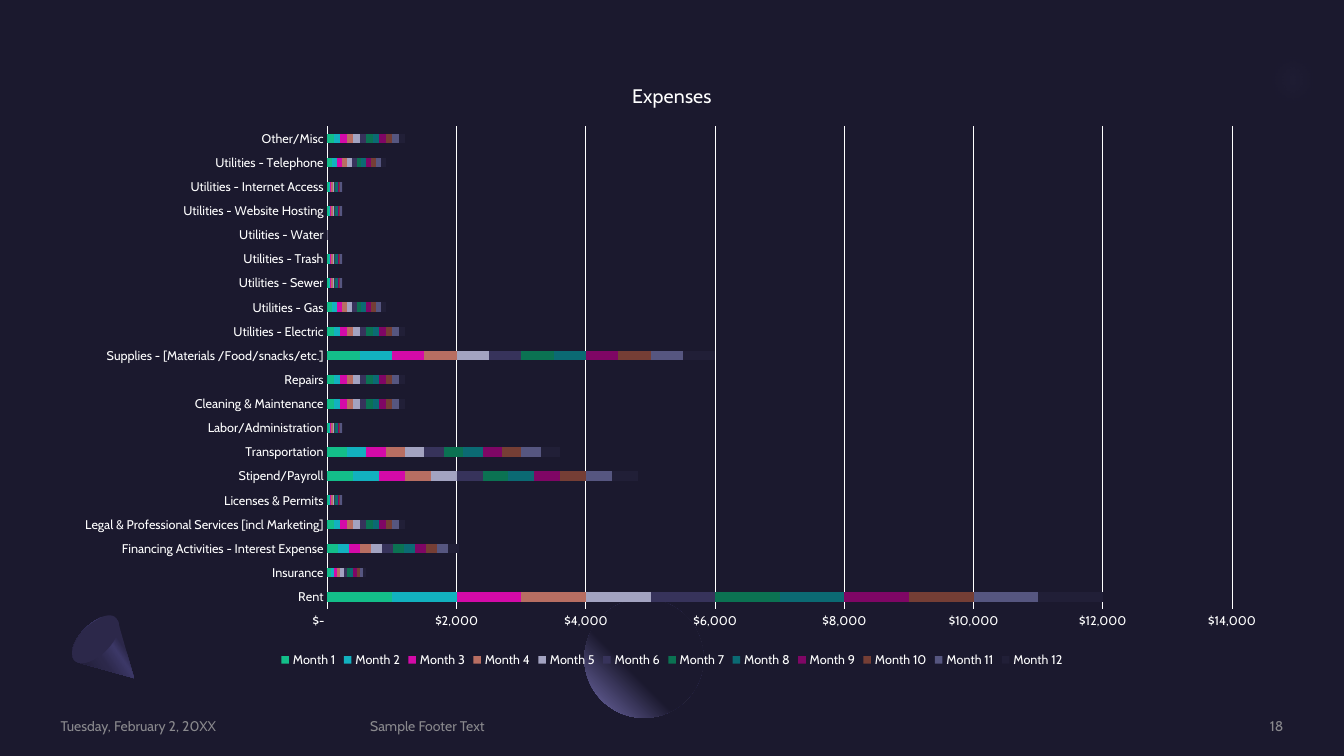
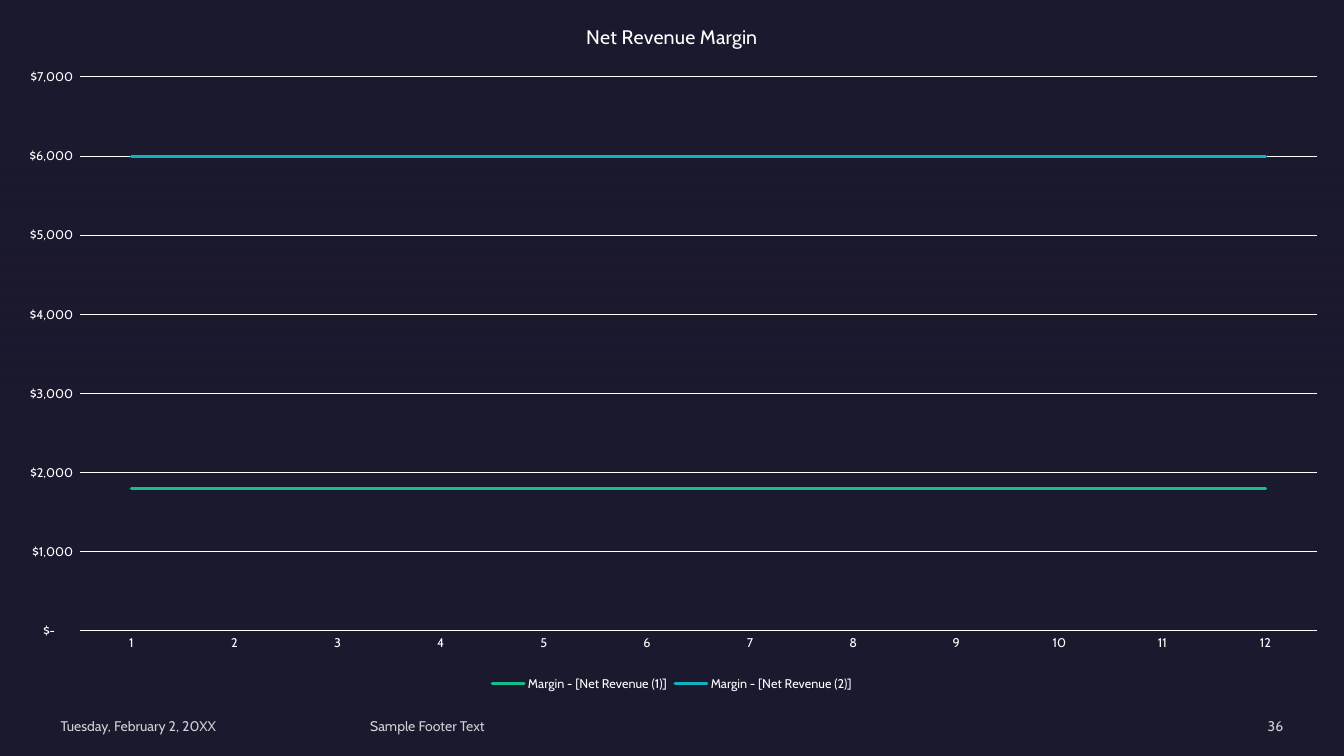
"""Build two dark chart slides: monthly expenses and net revenue margin."""
from lxml import etree
from pptx import Presentation
from pptx.chart.data import CategoryChartData
from pptx.dml.color import RGBColor
from pptx.enum.chart import XL_CHART_TYPE, XL_LEGEND_POSITION, XL_MARKER_STYLE, XL_TICK_MARK
from pptx.enum.shapes import MSO_SHAPE
from pptx.enum.text import MSO_ANCHOR, PP_ALIGN
from pptx.oxml import parse_xml
from pptx.oxml.ns import nsdecls, qn
from pptx.util import Cm, Pt

STACKED = XL_CHART_TYPE.BAR_STACKED
LINE = XL_CHART_TYPE.LINE
BOTTOM = XL_LEGEND_POSITION.BOTTOM
NO_MARKER = XL_MARKER_STYLE.NONE
NO_TICK = XL_TICK_MARK.NONE
OVAL = MSO_SHAPE.OVAL
RECTANGLE = MSO_SHAPE.RECTANGLE
MIDDLE = MSO_ANCHOR.MIDDLE
LEFT, RIGHT = PP_ALIGN.LEFT, PP_ALIGN.RIGHT

COLORS = {"night": "1B192E", "dusk": "2C284A", "plum": "3C3867", "lilac": "7771B2",
          "white": "FFFFFF", "grey": "A6A6A6"}
SERIES_COLORS = ["13BE89", "12B1BF", "D40AA8", "B86E62", "A3A3C1", "37335B",
                 "0B7252", "0B6A73", "7F0665", "753E35", "565680", "211F37"]
FONT = "Cabin"
PAGE_WIDTH, PAGE_HEIGHT = 33.87, 19.05
DOLLARS = '_("$"* #,##0_);_("$"* \\(#,##0\\);_("$"* "-"??_);_(@_)'
MONTHS = 12
EXPENSES = {
    "Rent": 1000,
    "Insurance": 50,
    "Financing Activities - Interest Expense": 170,
    "Legal & Professional Services [incl Marketing]": 100,
    "Licenses & Permits": 20,
    "Stipend/Payroll": 400,
    "Transportation": 300,
    "Labor/Administration": 20,
    "Cleaning & Maintenance": 100,
    "Repairs": 100,
    "Supplies - [Materials /Food/snacks/etc.]": 500,
    "Utilities - Electric": 100,
    "Utilities - Gas": 75,
    "Utilities - Sewer": 20,
    "Utilities - Trash": 20,
    "Utilities - Water": 0,
    "Utilities - Website Hosting": 20,
    "Utilities - Internet Access": 20,
    "Utilities - Telephone": 75,
    "Other/Misc": 100,
}
MARGINS = {"Margin - [Net Revenue (1)]": 1800, "Margin - [Net Revenue (2)]": 6000}
CRESCENT = [(1.2, 0), (2.2, 0), (2.2, 1.09), (2.09, 1.14),
            (2.01, 1.19, 1.96, 1.24, 1.88, 1.3), (1.38, 1.8, 1.43, 2.67, 2.01, 3.23),
            (1.1, 4.14), (-0.05, 3.02, -0.15, 1.27, 0.87, 0.28),
            (0.92, 0.2, 0.99, 0.15, 1.05, 0.1)]
CONE = [(1.68, 1.79), (0.26, 1.39), (0.2, 1.36, 0.18, 1.36, 0.18, 1.34),
        (0.03, 1.18, 0.15, 0.83, 0.43, 0.55), (0.74, 0.24, 1.09, 0.12, 1.22, 0.27),
        (1.27, 0.35)]


def rgb(name):
    """Return the colour with the given name."""
    return RGBColor.from_string(COLORS[name])


def set_opacity(element, percent):
    """Make the solid colours inside an element partly transparent."""
    for color in element.iter(qn("a:srgbClr")):
        etree.SubElement(color, qn("a:alpha"), val=str(percent * 1000))


def finish(shape, color):
    """Give a shape a plain fill without line or shadow."""
    shape.shadow.inherit = False
    shape.line.fill.background()
    shape.fill.solid()
    shape.fill.fore_color.rgb = rgb(color)
    return shape


def fill_gradient(shape, stops, direction):
    """Replace the fill by a gradient of (position, colour, opacity) stops."""
    marks = "".join(
        f'<a:gs pos="{position * 1000}"><a:srgbClr val="{COLORS[color]}">'
        f'<a:alpha val="{opacity * 1000}"/></a:srgbClr></a:gs>'
        for position, color, opacity in stops)
    gradient = parse_xml(f'<a:gradFill {nsdecls("a")} rotWithShape="1">'
                         f'<a:gsLst>{marks}</a:gsLst>{direction}</a:gradFill>')
    properties = shape.fill._xPr
    properties.replace(properties.find(qn("a:solidFill")), gradient)


def add_plain(page, kind, box, color, rotation=0):
    """Add a preset shape in a box given in centimetres."""
    shape = finish(page.shapes.add_shape(kind, *map(Cm, box)), color)
    shape.rotation = rotation
    return shape


def flatten(outline, steps=12):
    """Turn lines and cubic curves into a list of points."""
    points = []
    for segment in outline:
        if len(segment) == 2:
            points.append(segment)
            continue
        knots = [points[-1], segment[:2], segment[2:4], segment[4:]]
        for step in range(1, steps + 1):
            t = step / steps
            weights = ((1 - t) ** 3, 3 * t * (1 - t) ** 2, 3 * t * t * (1 - t), t ** 3)
            points.append(tuple(sum(w * knot[axis] for w, knot in zip(weights, knots))
                                for axis in (0, 1)))
    return points


def add_outline(page, left, top, outline, color):
    """Add a closed outline measured from a corner."""
    points = [(Cm(left + x), Cm(top + y)) for x, y in flatten(outline)]
    builder = page.shapes.build_freeform(*points[0])
    builder.add_line_segments(points[1:], close=True)
    return finish(builder.convert_to_shape(), color)


def add_crescent(page, left, top):
    """Add the soft crescent in the upper corner."""
    crescent = add_outline(page, left, top, CRESCENT, "lilac")
    properties = crescent.fill._xPr
    set_opacity(properties.find(qn("a:solidFill")), 40)
    etree.SubElement(properties.find(qn("a:effectLst")), qn("a:softEdge"), rad=str(Pt(17)))
    add_plain(page, OVAL, (left + 1.1, top + 2.77, 0.3, 1.3), "night", 45)


def add_cone(page, left, top):
    """Add the shaded cone and its rim."""
    cone = add_outline(page, left, top, CONE, "dusk")
    fill_gradient(cone, [(30, "dusk", 100), (40, "plum", 100), (60, "dusk", 100),
                         (100, "night", 100)], f'<a:lin ang="{145 * 60000}" scaled="0"/>')
    add_plain(page, OVAL, (left + 0.33, top + 0.07, 0.76, 1.5), "dusk", 225)


def add_sphere(page, left, top, size):
    """Add the sphere lit from its lower left."""
    sphere = add_plain(page, OVAL, (left, top, size, size), "night")
    fill_gradient(sphere, [(60, "night", 100), (100, "lilac", 100)],
                  '<a:path path="circle"><a:fillToRect l="100000" b="100000"/></a:path>')


def add_veil(page, width, height):
    """Add the dark cover and the fade over its upper part."""
    add_plain(page, RECTANGLE, (0, 0, width, height), "night")
    fade = add_plain(page, RECTANGLE, (0, 0, width, 13.49), "night", 180)
    fill_gradient(fade, [(26, "night", 0), (70, "night", 60)],
                  f'<a:lin ang="{90 * 60000}" scaled="0"/>')


def add_footer(page, number, color, top=18.08):
    """Add the date, the footer text and the page number."""
    for left, width, text, alignment in ((1.53, 7.32, "Tuesday, February 2, 20XX", LEFT),
                                         (9.33, 17.73, "Sample Footer Text", LEFT),
                                         (27.64, 4.7, number, RIGHT)):
        box = page.shapes.add_textbox(Cm(left), Cm(top), Cm(width), Cm(0.43))
        frame = box.text_frame
        frame.word_wrap = True
        frame.vertical_anchor = MIDDLE
        frame.margin_left = frame.margin_right = frame.margin_top = frame.margin_bottom = 0
        para = frame.paragraphs[0]
        para.alignment = alignment
        span = para.add_run()
        span.text = text
        style_font(span.font, 10, color)
        set_opacity(box.element, 80)


def style_font(font, size, color="white"):
    """Set typeface, size and colour of a font."""
    font.name = FONT
    font.size = Pt(size)
    font.bold = False
    font.color.rgb = rgb(color)


def style_axis(axis):
    """Remove the ticks of an axis and set its labels."""
    axis.major_tick_mark = axis.minor_tick_mark = NO_TICK
    style_font(axis.tick_labels.font, 9)


def style_rule(rule):
    """Make an axis line or gridline thin and white."""
    rule.line.color.rgb = rgb("white")
    rule.line.width = Pt(0.75)


def add_dollar_chart(page, kind, box, title, categories, series):
    """Add a titled chart with a dollar axis and a legend below."""
    data = CategoryChartData()
    data.categories = categories
    for name, values in series:
        data.add_series(name, values)
    chart = page.shapes.add_chart(kind, *map(Cm, box), data).chart
    style_font(chart.font, 10)
    chart.has_title = True
    span = chart.chart_title.text_frame.paragraphs[0].add_run()
    span.text = title
    style_font(span.font, 14)
    chart.has_legend = True
    chart.legend.position = BOTTOM
    chart.legend.include_in_layout = False
    style_font(chart.legend.font, 9)
    style_axis(chart.category_axis)
    style_rule(chart.category_axis.format)
    amounts = chart.value_axis
    style_axis(amounts)
    amounts.format.line.fill.background()
    style_rule(amounts.major_gridlines.format)
    amounts.tick_labels.number_format = DOLLARS
    amounts.tick_labels.number_format_is_linked = False
    plot = chart.plots[0]
    plot.vary_by_categories = False
    return chart


def add_expenses_chart(page, box):
    """Add the stacked bars of monthly expenses."""
    series = [(f"Month {month}", list(EXPENSES.values())) for month in range(1, MONTHS + 1)]
    plot = add_dollar_chart(page, STACKED, box, "Expenses", list(EXPENSES), series).plots[0]
    plot.gap_width = 150
    plot.overlap = 100
    for bars, color in zip(plot.series, SERIES_COLORS):
        bars.format.fill.solid()
        bars.format.fill.fore_color.rgb = RGBColor.from_string(color)


def add_margin_chart(page, box):
    """Add the lines of the net revenue margin."""
    months = [str(month) for month in range(1, MONTHS + 1)]
    series = [(name, [value] * MONTHS) for name, value in MARGINS.items()]
    chart = add_dollar_chart(page, LINE, box, "Net Revenue Margin", months, series)
    chart.value_axis.maximum_scale = 7000
    for curve, color in zip(chart.plots[0].series, SERIES_COLORS):
        curve.smooth = False
        curve.marker.style = NO_MARKER
        stroke = curve.format.line
        stroke.color.rgb = RGBColor.from_string(color)
        stroke.width = Pt(2.25)
        stroke._ln.set("cap", "rnd")


def add_page(deck):
    """Add a blank page with the dark background."""
    page = deck.slides.add_slide(deck.slide_layouts[6])
    page.background.fill.solid()
    page.background.fill.fore_color.rgb = rgb("night")
    return page


def build_expenses(deck):
    """Build the expenses slide."""
    page = add_page(deck)
    add_crescent(page, 31.67, 0)
    add_cone(page, 1.7, 15.3)
    add_sphere(page, 14.73, 15.09, 3)
    add_footer(page, "18", "grey")
    add_expenses_chart(page, (1.53, 1.53, 30.81, 15.4))


def build_margin(deck):
    """Build the net revenue margin slide."""
    page = add_page(deck)
    add_veil(page, PAGE_WIDTH, PAGE_HEIGHT)
    add_footer(page, "36", "white")
    add_margin_chart(page, (0, 0, PAGE_WIDTH, 17.53))


def main():
    """Build and save the deck."""
    deck = Presentation()
    deck.slide_width, deck.slide_height = Cm(PAGE_WIDTH), Cm(PAGE_HEIGHT)
    build_expenses(deck)
    build_margin(deck)
    deck.save("out.pptx")


if __name__ == "__main__":
    main()
